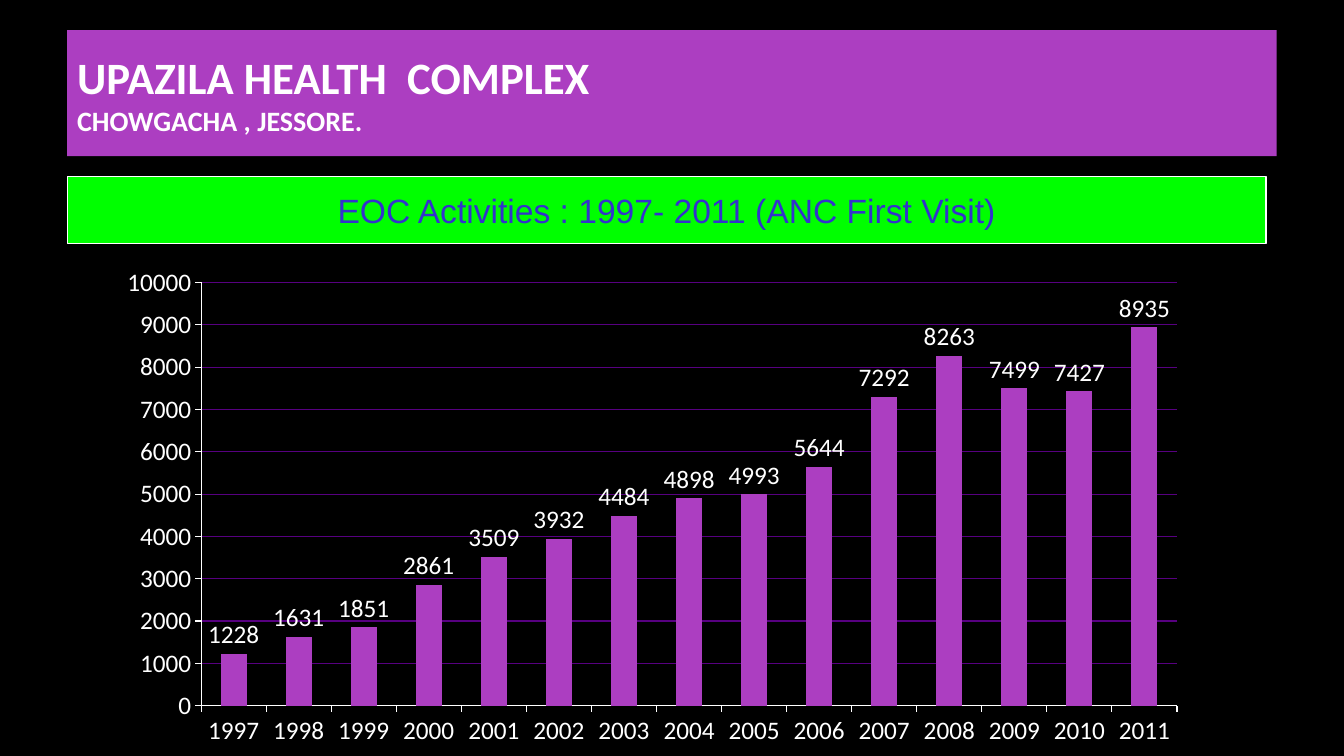
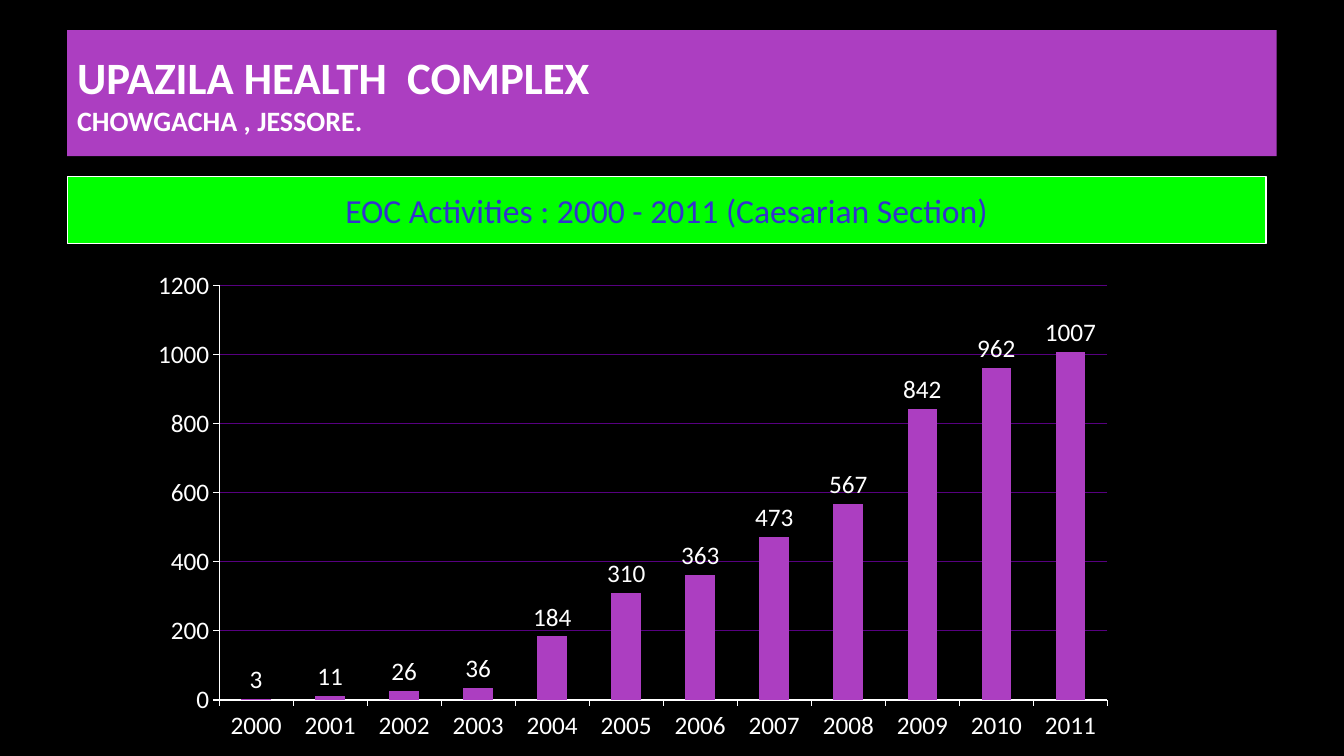
from dataclasses import dataclass

from pptx import Presentation
from pptx import util as u
from pptx.chart import data as cd
from pptx.dml.color import RGBColor
from pptx.enum import chart as ch
from pptx.enum import shapes, text
from pptx.oxml import parse_xml
from pptx.oxml.ns import nsdecls, qn


@dataclass(frozen=True)
class Theme:
    back: RGBColor = RGBColor.from_string("000000")
    accent: RGBColor = RGBColor.from_string("AC3EC1")
    band: RGBColor = RGBColor.from_string("00FF00")
    topic: RGBColor = RGBColor.from_string("3333CC")
    light: RGBColor = RGBColor.from_string("FFFFFF")
    grid: RGBColor = RGBColor.from_string("570080")
    font: str = "Calibri"
    title_size: int = 32
    place_size: int = 20
    topic_size: int = 24
    chart_size: int = 18
    hairline: float = 0.75


@dataclass(frozen=True)
class Box:
    """Percentages of the slide's width and height."""
    x: float
    y: float
    w: float
    h: float

    def emu(self) -> tuple[int, int, int, int]:
        return (int(WIDTH * self.x / 100), int(HEIGHT * self.y / 100),
                int(WIDTH * self.w / 100), int(HEIGHT * self.h / 100))


@dataclass(frozen=True)
class Activity:
    topic: str
    topic_font: str
    frame: Box
    plot: Box
    first_year: int
    values: tuple[int, ...]
    top: int
    step: int


WIDTH, HEIGHT = u.Inches(13.33), u.Inches(7.5)
THEME = Theme()
TITLE = "UPAZILA HEALTH  COMPLEX\vCHOWGACHA , JESSORE."
TITLE_BOX = Box(5, 4, 90, 16.67)
TOPIC_BOX = Box(5, 23.33, 89.2, 8.93)
ACTIVITIES = (
    Activity("EOC Activities : 1997- 2011 (ANC First Visit)", "Arial",
             Box(7.88, 34, 81.3, 66), Box(14.96, 37.36, 72.62, 56), 1997,
             (1228, 1631, 1851, 2861, 3509, 3932, 4484, 4898,
              4993, 5644, 7292, 8263, 7499, 7427, 8935), 10000, 1000),
    Activity("EOC Activities : 2000 - 2011 (Caesarian Section)", "Calibri",
             Box(10.13, 35.73, 73.44, 64.27), Box(16.3, 37.77, 66.1, 54.85), 2000,
             (3, 11, 26, 36, 184, 310, 363, 473, 567, 842, 962, 1007), 1200, 200),
)


def style_font(font, size: float, color: RGBColor, name: str = THEME.font,
               bold: bool = False) -> None:
    font.size, font.name, font.bold = u.Pt(size), name, bold
    font.color.rgb = color


def add_band(s, box: Box, fill: RGBColor, words: str, align):
    sp = s.shapes.add_shape(shapes.MSO_SHAPE.RECTANGLE, *box.emu())
    sp.shadow.inherit = False
    sp.fill.solid()
    sp.fill.fore_color.rgb = fill
    sp.line.fill.background()
    tf = sp.text_frame
    tf.text = words
    tf.word_wrap = True
    tf.vertical_anchor = text.MSO_ANCHOR.MIDDLE
    tf.paragraphs[0].alignment = align
    return sp


def add_title(s) -> None:
    sp = add_band(s, TITLE_BOX, THEME.accent, TITLE, text.PP_ALIGN.LEFT)
    for r, size in zip(sp.text_frame.paragraphs[0].runs,
                       (THEME.title_size, THEME.place_size)):
        style_font(r.font, size, THEME.light, bold=True)


def add_topic(s, activity: Activity) -> None:
    sp = add_band(s, TOPIC_BOX, THEME.band, activity.topic, text.PP_ALIGN.CENTER)
    sp.line.color.rgb = THEME.light
    sp.line.width = u.Pt(THEME.hairline)
    r = sp.text_frame.paragraphs[0].runs[0]
    style_font(r.font, THEME.topic_size, THEME.topic, activity.topic_font)


def place_plot(chart, frame: Box, plot: Box) -> None:
    shares = {"x": (plot.x - frame.x) / frame.w, "y": (plot.y - frame.y) / frame.h,
              "w": plot.w / frame.w, "h": plot.h / frame.h}
    modes = '<c:xMode val="edge"/><c:yMode val="edge"/>'
    sizes = "".join(f'<c:{k} val="{v:.4f}"/>' for k, v in shares.items())
    area = chart.element.find(".//" + qn("c:plotArea"))
    for old in area.findall(qn("c:layout")):
        area.remove(old)
    area.insert(0, parse_xml(
        f'<c:layout {nsdecls("c")}><c:manualLayout><c:layoutTarget val="inner"/>'
        f'{modes}{sizes}</c:manualLayout></c:layout>'))


def add_columns(s, activity: Activity) -> None:
    data = cd.CategoryChartData()
    data.categories = [str(activity.first_year + i) for i in range(len(activity.values))]
    data.add_series("Series 1", activity.values)
    chart = s.shapes.add_chart(ch.XL_CHART_TYPE.COLUMN_CLUSTERED,
                               *activity.frame.emu(), data).chart
    chart.has_title = chart.has_legend = False
    style_font(chart.font, THEME.chart_size, THEME.light)
    for axis in (chart.category_axis, chart.value_axis):
        axis.major_tick_mark = ch.XL_TICK_MARK.OUTSIDE
        axis.minor_tick_mark = ch.XL_TICK_MARK.NONE
        axis.format.line.color.rgb = THEME.light
        axis.format.line.width = u.Pt(THEME.hairline)
    axis = chart.value_axis
    axis.minimum_scale, axis.maximum_scale = 0, activity.top
    axis.major_unit = activity.step
    axis.has_major_gridlines = True
    axis.major_gridlines.format.line.color.rgb = THEME.grid
    axis.major_gridlines.format.line.width = u.Pt(THEME.hairline)
    plot = chart.plots[0]
    plot.gap_width = 150
    plot.vary_by_categories = False
    plot.has_data_labels = True
    labels = plot.data_labels
    labels.show_value = True
    labels.position = ch.XL_LABEL_POSITION.OUTSIDE_END
    style_font(labels.font, THEME.chart_size, THEME.light)
    fill = plot.series[0].format.fill
    fill.solid()
    fill.fore_color.rgb = THEME.accent
    place_plot(chart, activity.frame, activity.plot)


def main() -> None:
    prs = Presentation()
    prs.slide_width, prs.slide_height = WIDTH, HEIGHT
    for activity in ACTIVITIES:
        s = prs.slides.add_slide(prs.slide_layouts[6])
        s.background.fill.solid()
        s.background.fill.fore_color.rgb = THEME.back
        add_title(s)
        add_topic(s, activity)
        add_columns(s, activity)
    prs.save("out.pptx")


if __name__ == "__main__":
    main()
